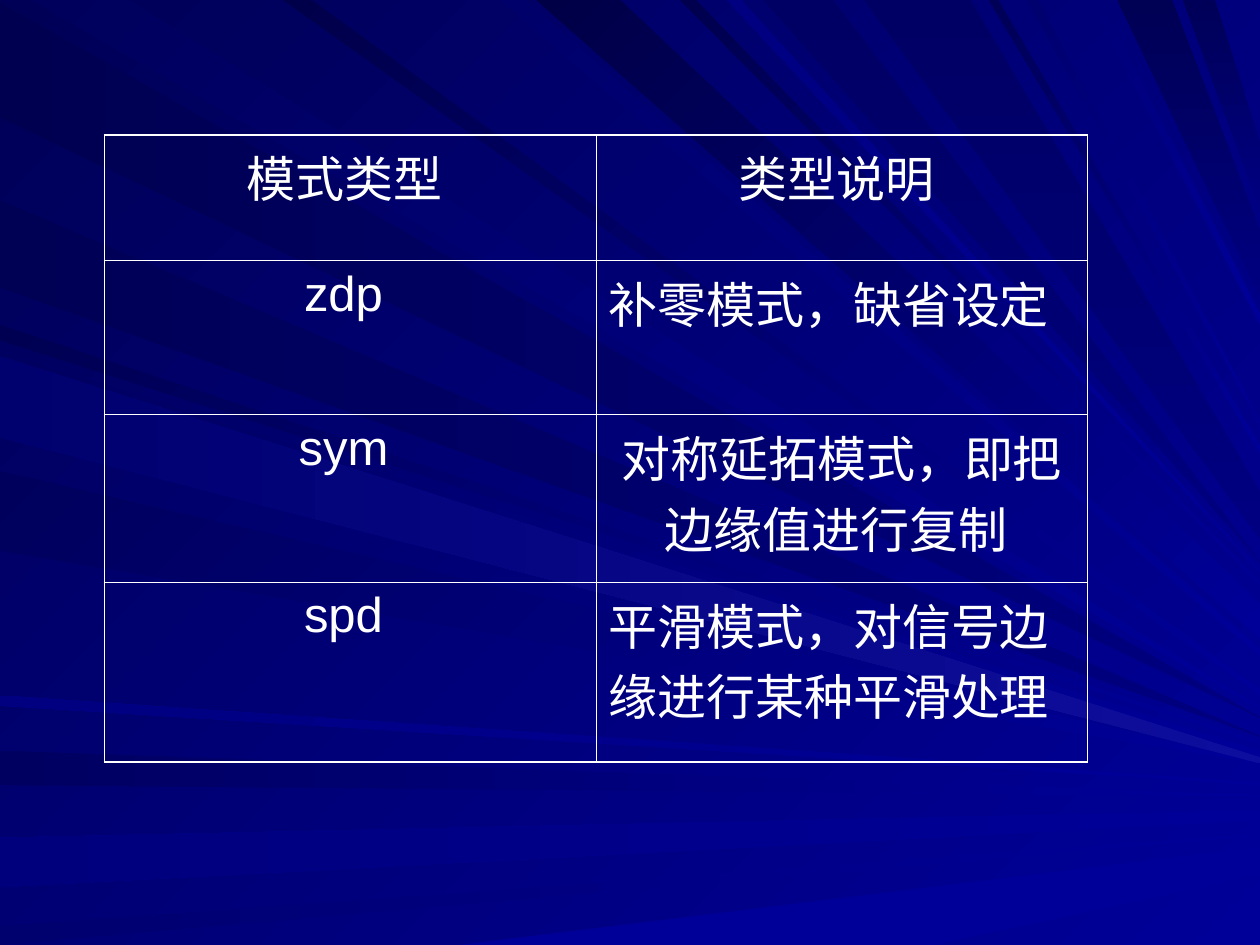
from lxml.etree import SubElement
from pptx import Presentation
from pptx.dml.color import RGBColor
from pptx.enum.text import PP_ALIGN
from pptx.oxml.ns import qn
from pptx.util import Pt

PX = 9144
SLIDE_BOX = (0, 0, 1000, 750)
TABLE_BOX = (83, 107, 780, 498)
WHITE = "FFFFFF"
OUTER, INNER = 1.08, 0.45
ROW_HEIGHTS = (100, 122, 133, 143)
MODES = [
    [("模式类型 ", PP_ALIGN.CENTER), ("类型说明 ", PP_ALIGN.CENTER)],
    [("zdp ", PP_ALIGN.CENTER), ("补零模式，缺省设定", PP_ALIGN.LEFT)],
    [("sym ", PP_ALIGN.CENTER), ("对称延拓模式，即把边缘值进行复制 ", PP_ALIGN.CENTER)],
    [("spd ", PP_ALIGN.CENTER), ("平滑模式，对信号边缘进行某种平滑处理", PP_ALIGN.LEFT)],
]
LIGHTS = {
    "side": ("000099", 180),
    "dim": ("000080", 180),
    "glow": ("0E0E9E", 180),
    "diagonal": ("000099", 225),
    "steep": ("000080", 270),
}
RAYS = [
    ("left", "dim", "51", 2, 93, 569, 1),
    ("top", "diagonal", "5C", 101, 26, 562, 1),
    ("left", "side", "60", 596, 623, 631, 1),
    ("left", "side", "7C", 665, 704, 643, 8),
    ("left", "side", "6E", 735, 750, 662, 1),
    ("bottom", "side", "99", 364, 742, 672, 22),
    ("left", "diagonal", "53", 258, 270, 589, 1),
    ("left", "dim", "55", 159, 228, 584, 1),
    ("top", "diagonal", "6A", 416, 398, 515, 6),
    ("top", "diagonal", "46", 492, 426, 479, 28),
    ("top", "diagonal", "4E", 552, 540, 463, 1),
    ("top", "steep", "64", 661, 606, 445, 1),
    ("top", "steep", "55", 930, 887, 183, 54),
    ("top", "steep", "59", 964, 939, 114, 53),
    ("left", "diagonal", "60", 278, 342, 596, 6),
    ("left", "diagonal", "5C", 374, 437, 605, 1),
    ("left", "side", "81", 552, 560, 621, 2),
    ("top", "diagonal", "4A", 247, 225, 547, 5),
    ("top", "diagonal", "81", 588, 577, 453, 1),
    ("top", "steep", "64", 770, 686, 390, 38),
    ("top", "diagonal", "57", 792, 785, 354, 6),
    ("top", "diagonal", "6E", 824, 815, 335, 1),
    ("top", "diagonal", "78", 872, 865, 249, 9),
    ("left", "glow", "6E", 283, 347, 601, 5),
]


def color(value):
    return RGBColor.from_string(value)


def paint(fill, first, last, clockwise):
    if first == last:
        fill.solid()
        fill.fore_color.rgb = color(first)
        return
    fill.gradient()
    fill.gradient_angle = (360 - clockwise) % 360
    for stop, value in zip(fill.gradient_stops, (first, last)):
        stop.color.rgb = color(value)


def edge_point(box, edge, distance):
    left, top, _, height = box
    if edge == "left":
        return left, top + distance
    return left + distance, top if edge == "top" else top + height


def add_rays(slide, box):
    left, top, width, _ = box
    rays = slide.shapes.add_group_shape()
    for edge, light, shade, upper, lower, tip, thickness in RAYS:
        builder = rays.shapes.build_freeform(*edge_point(box, edge, upper), scale=PX)
        builder.add_line_segments([
            edge_point(box, edge, lower),
            (left + width, top + tip + thickness),
            (left + width, top + tip),
        ], close=True)
        ray = builder.convert_to_shape()
        ray.shadow.inherit = False
        ray.line.fill.background()
        first, clockwise = LIGHTS[light]
        paint(ray.fill, first, f"0000{shade}", clockwise)


def set_borders(cell, widths):
    properties = cell._tc.get_or_add_tcPr()
    for side, width in widths.items():
        border = SubElement(properties, qn(f"a:ln{side}"), w=str(Pt(width)))
        solid = SubElement(border, qn("a:solidFill"))
        SubElement(solid, qn("a:srgbClr"), val=WHITE)


def add_mode_table(slide, box):
    columns = len(MODES[0])
    modes = slide.shapes.add_table(len(MODES), columns, *(n * PX for n in box)).table
    modes.first_row = modes.horz_banding = False
    for column in modes.columns:
        column.width = box[2] * PX // columns
    for r, (height, entries) in enumerate(zip(ROW_HEIGHTS, MODES)):
        modes.rows[r].height = height * PX
        for c, (wording, alignment) in enumerate(entries):
            cell = modes.cell(r, c)
            set_borders(cell, {
                "L": OUTER if c == 0 else INNER,
                "R": OUTER if c == columns - 1 else INNER,
                "T": OUTER if r == 0 else INNER,
                "B": OUTER if r == len(MODES) - 1 else INNER,
            })
            cell.fill.background()
            cell.text = wording
            paragraph = cell.text_frame.paragraphs[0]
            paragraph.alignment = alignment
            paragraph.space_before = Pt(7)
            paragraph.font.name = "Arial"
            paragraph.font.size = Pt(28)
            paragraph.font.color.rgb = color(WHITE)


def main():
    deck = Presentation()
    deck.slide_width, deck.slide_height = (n * PX for n in SLIDE_BOX[2:])
    slide = deck.slides.add_slide(deck.slide_layouts[6])
    paint(slide.background.fill, "000099", "000057", 225)
    add_rays(slide, SLIDE_BOX)
    add_mode_table(slide, TABLE_BOX)
    deck.save("out.pptx")


if __name__ == "__main__":
    main()
